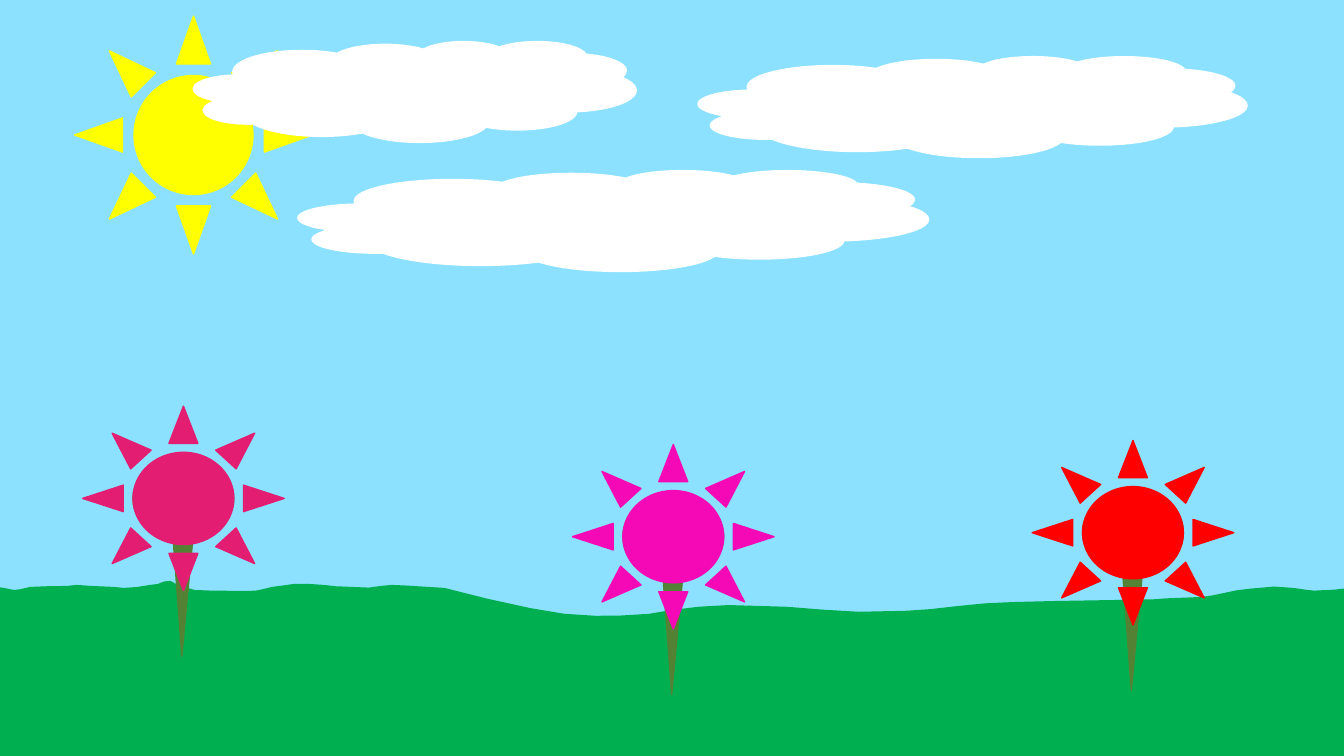
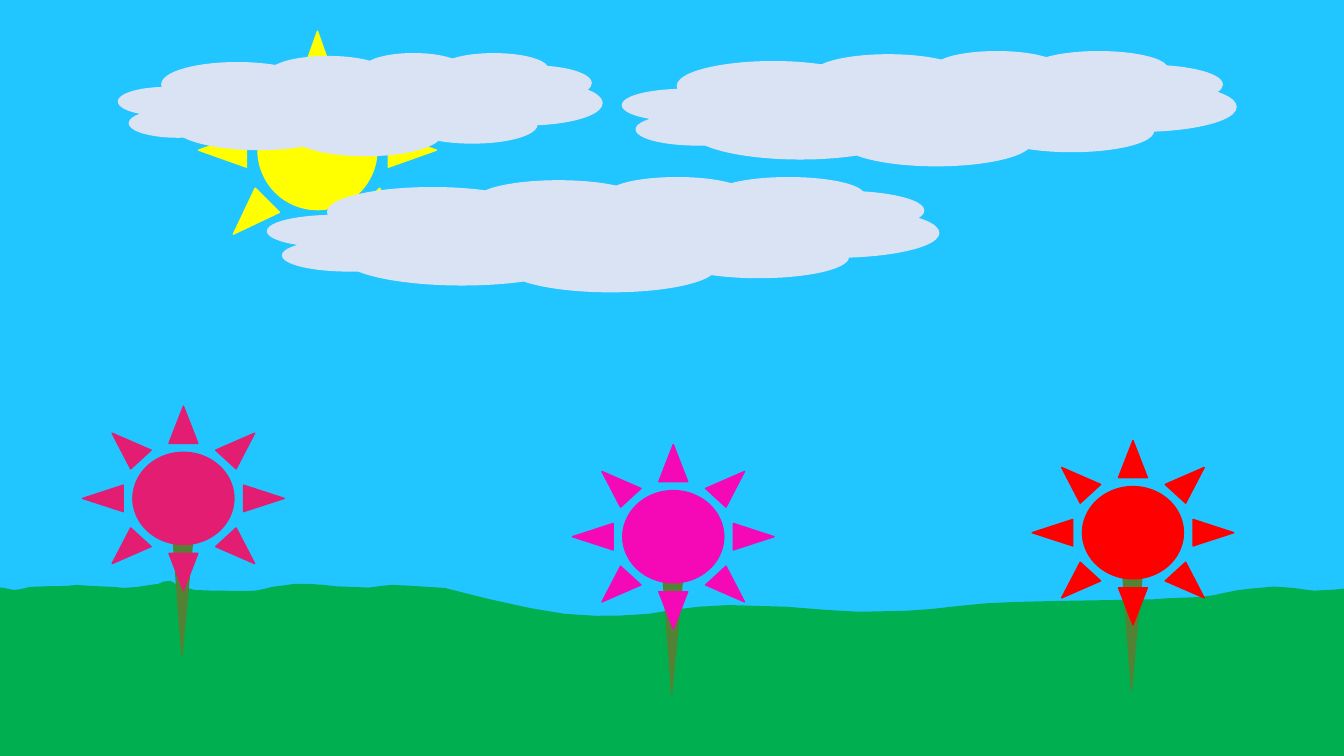
from dataclasses import dataclass

import pptx
import pptx.dml.color
import pptx.enum.shapes
import pptx.util

COLUMNS, ROWS = 40, 22.5
CELL = pptx.util.Inches(1) // 3

SHAPES = pptx.enum.shapes.MSO_SHAPE
SUN_YELLOW = "FFFF00"
GRASS_GREEN = "00B050"
STEM_GREEN = "548235"
LEFT_EDGE = -0.12
STEM_TIP = (-0.016, 1.799)


@dataclass(frozen=True)
class Area:
    column: float
    row: float
    columns: float
    rows: float


@dataclass(frozen=True)
class Flower:
    column: float
    row: float
    color: str


@dataclass(frozen=True)
class Scene:
    sky: str
    sun: Area
    cloud_color: str
    clouds: tuple[Area, ...]


FLOWERS = (
    Flower(17.04, 13.23, "F509B7"),
    Flower(30.72, 13.11, "FF0000"),
    Flower(2.46, 12.09, "E31D72"),
)

SCENES = (
    Scene("8BE1FF", Area(2.22, 0.48, 7.08, 7.08), "FFFFFF", (
        Area(20.79, 1.68, 16.32, 3),
        Area(5.76, 1.23, 13.17, 3),
        Area(8.88, 5.07, 18.75, 3),
    )),
    Scene("21C5FF", Area(5.91, 0.93, 7.08, 7.08), "DAE3F3", (
        Area(18.54, 1.53, 18.24, 3.39),
        Area(3.54, 1.59, 14.37, 3.03),
        Area(7.98, 5.28, 19.95, 3.39),
    )),
)

HORIZON = (
    (LEFT_EDGE, 17.49), (0.12, 17.52), (0.3, 17.56), (0.42, 17.58),
    (0.6, 17.56), (0.9, 17.49), (1.4, 17.47), (2.01, 17.46), (2.28, 17.43),
    (2.7, 17.46), (3.39, 17.49), (3.69, 17.52), (4.1, 17.49), (4.47, 17.43),
    (4.71, 17.4), (4.88, 17.33), (5.07, 17.31), (5.34, 17.46), (5.58, 17.52),
    (5.79, 17.58), (6.3, 17.6), (7.35, 17.61), (7.62, 17.6), (7.86, 17.55),
    (8.1, 17.49), (8.55, 17.43), (8.76, 17.4), (9.2, 17.4), (9.63, 17.43),
    (9.99, 17.47), (10.98, 17.51), (11.35, 17.46), (11.67, 17.43),
    (12.12, 17.45), (13.23, 17.52), (14.5, 17.84), (15.78, 18.12),
    (16.8, 18.29), (17.73, 18.35), (18.5, 18.34), (19.32, 18.29),
    (19.98, 18.18), (20.8, 18.08), (21.69, 18.03), (23.4, 18.08),
    (24.54, 18.17), (25.56, 18.23), (26.97, 18.2), (27.7, 18.15),
    (28.41, 18.07), (29.3, 17.98), (30.15, 17.94), (31.38, 17.91),
    (34.32, 17.86), (34.71, 17.83), (35.73, 17.79), (36.1, 17.74),
    (36.81, 17.59), (37.23, 17.54), (37.92, 17.48), (38.49, 17.52),
    (38.91, 17.58), (39.12, 17.6), (39.72, 17.57), (COLUMNS, 17.54),
)


def cells(count: float) -> int:
    return round(count * CELL)


def paint(shape, color: str) -> None:
    shape.shadow.inherit = False
    shape.fill.solid()
    shape.line.width = pptx.util.Pt(1)
    for tint in (shape.fill.fore_color, shape.line.color):
        tint.rgb = pptx.dml.color.RGBColor.from_string(color)


def add_preset(page, preset: SHAPES, area: Area, color: str):
    shape = page.shapes.add_shape(
        preset, cells(area.column), cells(area.row),
        cells(area.columns), cells(area.rows),
    )
    paint(shape, color)
    return shape


def add_ground(page) -> None:
    outline = [(cells(x), cells(y)) for x, y in HORIZON]
    outline += [(cells(COLUMNS), cells(ROWS)), (cells(LEFT_EDGE), cells(ROWS))]
    builder = page.shapes.build_freeform(*outline[0])
    builder.add_line_segments(outline[1:], close=True)
    paint(builder.convert_to_shape(), GRASS_GREEN)


def add_flower(page, flower: Flower) -> None:
    bloom = Area(flower.column, flower.row, 6, 5.49)
    stem_area = Area(bloom.column + bloom.columns / 4, bloom.row + 1.44,
                     bloom.columns / 2, 2.61)
    stem = add_preset(page, SHAPES.OVAL_CALLOUT, stem_area, STEM_GREEN)
    for index, value in enumerate(STEM_TIP):
        stem.adjustments[index] = value
    add_preset(page, SHAPES.SUN, bloom, flower.color)


def add_scene(deck, scene: Scene) -> None:
    page = deck.slides.add_slide(deck.slide_layouts[6])
    sky = Area(LEFT_EDGE, 0, COLUMNS - LEFT_EDGE, ROWS)
    add_preset(page, SHAPES.RECTANGLE, sky, scene.sky)
    add_preset(page, SHAPES.SUN, scene.sun, SUN_YELLOW)
    add_ground(page)
    for cloud in scene.clouds:
        add_preset(page, SHAPES.CLOUD, cloud, scene.cloud_color)
    for flower in FLOWERS:
        add_flower(page, flower)


def main() -> None:
    deck = pptx.Presentation()
    deck.slide_width = cells(COLUMNS)
    deck.slide_height = cells(ROWS)
    for scene in SCENES:
        add_scene(deck, scene)
    deck.save("out.pptx")


if __name__ == "__main__":
    main()
